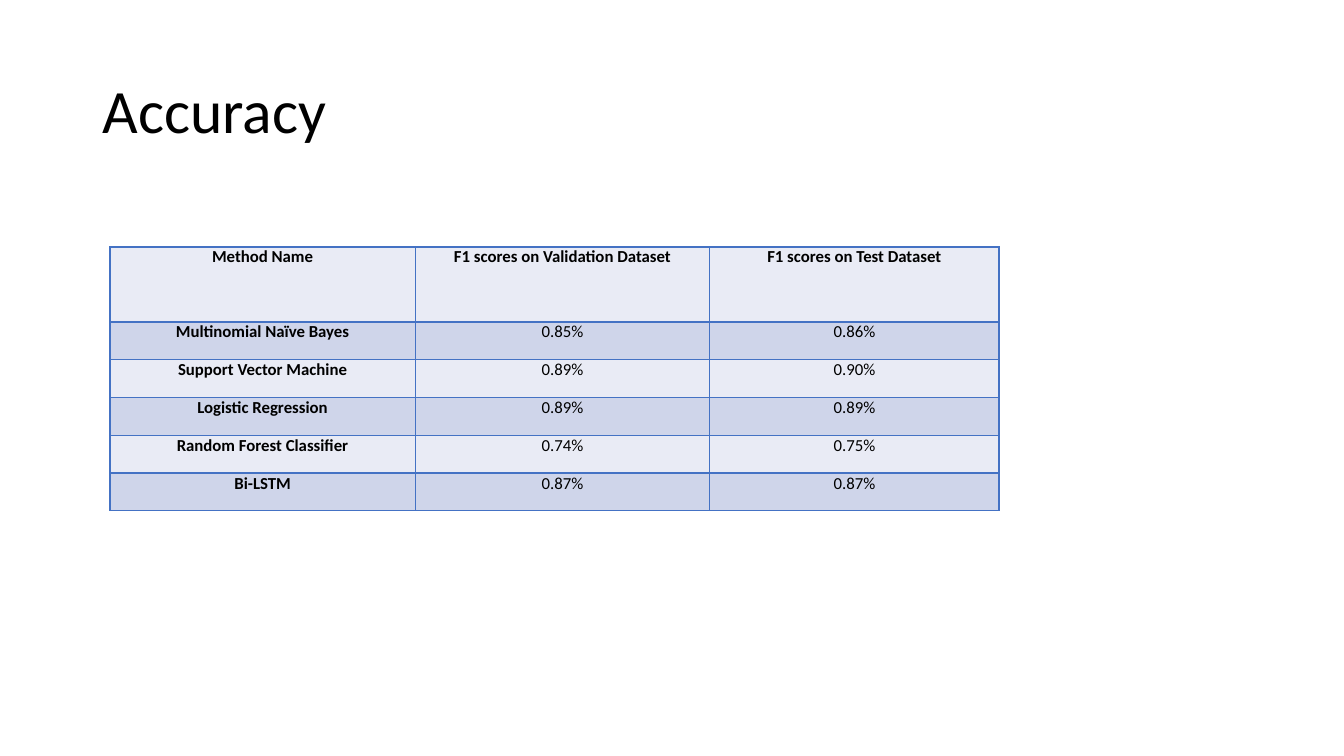
import dataclasses

import lxml.etree
import pptx
import pptx.dml.color
import pptx.enum.text
import pptx.oxml.ns
import pptx.util

Pt = pptx.util.Pt


@dataclasses.dataclass(frozen=True)
class Theme:
    font: str = "Calibri"
    ink: str = "000000"
    border: str = "4472C4"
    bands: tuple = ("E9EBF5", "CFD5EA")
    title_size: int = 44
    table_size: int = 12
    border_width: int = 1


class SlideBuilder:
    def __init__(self, deck, theme):
        self.theme = theme
        self.slide = deck.slides.add_slide(deck.slide_layouts[5])

    def format_runs(self, para, size, bold=False):
        for span in para.runs:
            span.font.name = self.theme.font
            span.font.size = Pt(size)
            span.font.bold = bold
            span.font.color.rgb = pptx.dml.color.RGBColor.from_string(self.theme.ink)

    def title(self, text, left, top, width, height):
        box = self.slide.shapes.title
        box.left, box.top, box.width, box.height = map(Pt, (left, top, width, height))
        frame = box.text_frame
        frame.text = text
        frame.word_wrap = True
        frame.vertical_anchor = pptx.enum.text.MSO_ANCHOR.MIDDLE
        para = frame.paragraphs[0]
        para.alignment = pptx.enum.text.PP_ALIGN.LEFT
        para.line_spacing = 0.9
        self.format_runs(para, self.theme.title_size)

    def cell_borders(self, cell):
        qn = pptx.oxml.ns.qn
        properties = cell._tc.get_or_add_tcPr()
        for side in ("a:lnL", "a:lnR", "a:lnT", "a:lnB"):
            line = lxml.etree.SubElement(
                properties, qn(side), w=str(Pt(self.theme.border_width))
            )
            fill = lxml.etree.SubElement(line, qn("a:solidFill"))
            lxml.etree.SubElement(fill, qn("a:srgbClr"), val=self.theme.border)

    def cell(self, cell, text, band, bold):
        cell.margin_left = cell.margin_right = Pt(5)
        cell.margin_top = cell.margin_bottom = Pt(0)
        self.cell_borders(cell)
        cell.fill.solid()
        cell.fill.fore_color.rgb = pptx.dml.color.RGBColor.from_string(band)
        para = cell.text_frame.paragraphs[0]
        para.text = text
        para.alignment = pptx.enum.text.PP_ALIGN.CENTER
        self.format_runs(para, self.theme.table_size, bold)

    def table(self, records, left, top, widths, heights):
        table = self.slide.shapes.add_table(
            len(records), len(widths), Pt(left), Pt(top), Pt(sum(widths)), Pt(sum(heights))
        ).table
        for column, width in zip(table.columns, widths):
            column.width = Pt(width)
        for row, height in zip(table.rows, heights):
            row.height = Pt(height)
        for row_index, record in enumerate(records):
            band = self.theme.bands[row_index % 2]
            for column_index, text in enumerate(record):
                bold = row_index == 0 or column_index == 0
                self.cell(table.cell(row_index, column_index), text, band, bold)


def main():
    deck = pptx.Presentation()
    deck.slide_width, deck.slide_height = Pt(960), Pt(540)
    page = SlideBuilder(deck, Theme())
    page.title("Accuracy", 66, 28.8, 828, 104.4)
    scores = [
        ("Method Name", "F1 scores on Validation Dataset", "F1 scores on Test Dataset"),
        ("Multinomial Naïve Bayes", "0.85%", "0.86%"),
        ("Support Vector Machine", "0.89%", "0.90%"),
        ("Logistic Regression", "0.89%", "0.89%"),
        ("Random Forest Classifier", "0.74%", "0.75%"),
        ("Bi-LSTM", "0.87%", "0.87%"),
    ]
    heights = [53.6] + [27] * (len(scores) - 1)
    page.table(scores, 78.6, 176.4, (218, 210.5, 206.5), heights)
    deck.save("out.pptx")


if __name__ == "__main__":
    main()
